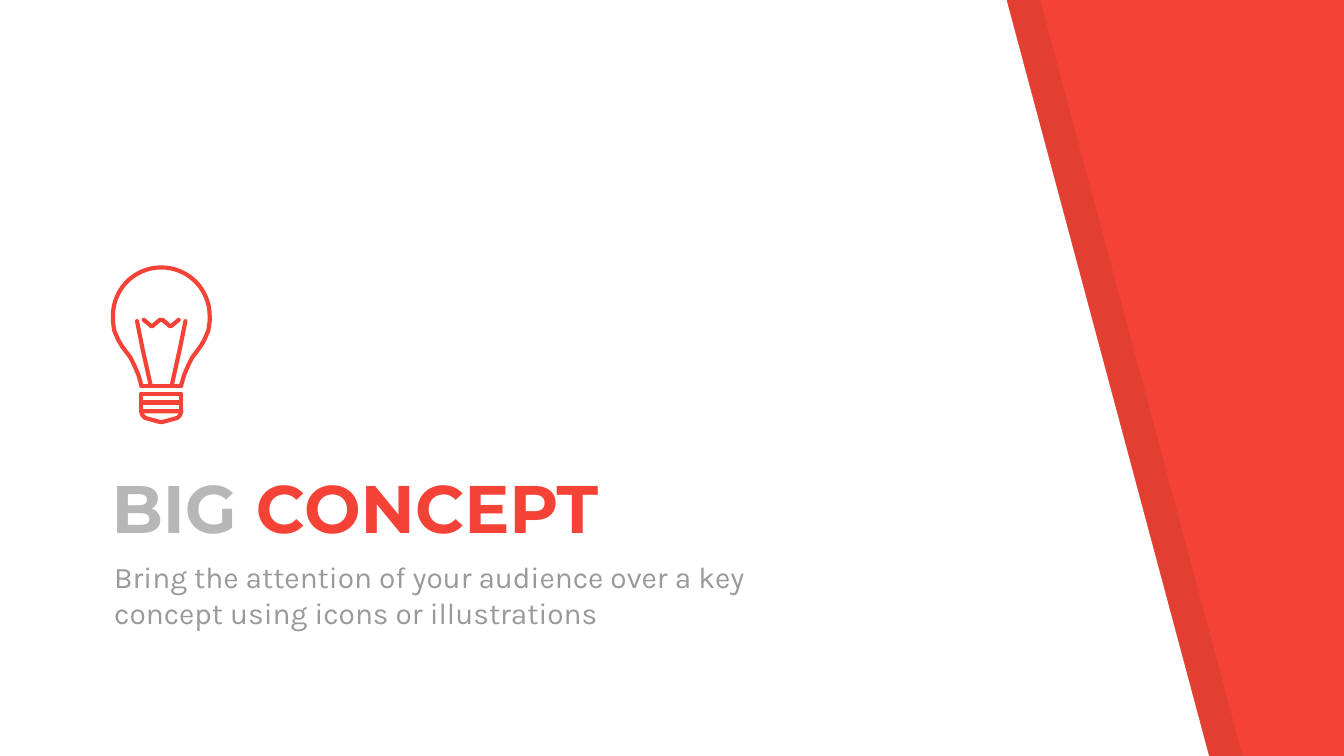
import math

from lxml import etree
from pptx import Presentation
from pptx.dml.color import RGBColor
from pptx.enum.shapes import MSO_CONNECTOR
from pptx.enum.text import MSO_ANCHOR, MSO_AUTO_SIZE, PP_ALIGN
from pptx.oxml.ns import qn
from pptx.util import Inches, Pt

STRAIGHT = MSO_CONNECTOR.STRAIGHT
LEFT = PP_ALIGN.LEFT
TOP, BOTTOM = MSO_ANCHOR.TOP, MSO_ANCHOR.BOTTOM
NO_AUTOFIT = MSO_AUTO_SIZE.NONE

THEME = {
    "red": "F44336", "white": "FFFFFF", "shade": "000000",
    "light": "B7B7B7", "grey": "999999",
    "title_font": "Montserrat", "body_font": "Karla",
    "title_size": 36, "body_size": 16, "stroke": 2.25,
}

# Content: (text, colour) runs
TITLE_RUNS = [("BIG ", "light"), ("CONCEPT", "red")]
SUBTITLE_RUNS = [("Bring the attention of your audience over a key concept "
                  "using icons or illustrations", "grey")]
TITLE_BOX = (0.73, 2.9, 5.74, 1.27)
SUBTITLE_BOX = (0.75, 4.06, 5.74, 0.86)

# Slanted panel, and its shadow band shifted to the right
PANEL = [(0, -0.01), (0, 5.64), (9, 5.64), (7.49, 0)]
BANDS = [(0.25, "shade", 7), (0, "white", 100)]  # shift, colour, opacity %

# Light bulb, symmetrical about a vertical axis
AXIS, HEAD_Y, HEAD_RADIUS = 1.2, 2.35, 0.36
BASE_LEFT, BASE_RIGHT = 1.05, 1.35
NECK = [(1.05, 2.86), (1.03, 2.79), (1, 2.72), (0.97, 2.66), (0.91, 2.58),
        (0.88, 2.53), (0.85, 2.46), (0.84, 2.39)]
SUPPORT = [(1.02, 2.39), (1.06, 2.59), (1.12, 2.86)]
FILAMENT = [(1.07, 2.38), (1.13, 2.43), (1.19, 2.38)]
TIP = [(1.05, 3.06), (1.06, 3.09), (1.08, 3.11), (1.19, 3.14)]
THREAD_TOPS, THREAD_HEIGHT = (2.93, 3), 0.06
COLLAR_Y = 2.87


def color(name):
    return RGBColor.from_string(THEME[name])


def mirror(points):
    return [(2 * AXIS - x, y) for x, y in reversed(points)]


def add_outline(shapes, points, closed):
    corners = [(Inches(x), Inches(y)) for x, y in points]
    builder = shapes.build_freeform(*corners[0], scale=1.0)
    builder.add_line_segments(corners[1:], close=closed)
    shape = builder.convert_to_shape()
    shape.shadow.inherit = False
    return shape


def set_stroke(shape):
    shape.line.color.rgb = color("red")
    shape.line.width = Pt(THEME["stroke"])
    # Round line ends and corners
    line = shape.element.spPr.find(qn("a:ln"))
    line.set("cap", "rnd")
    etree.SubElement(line, qn("a:round"))


def add_stroke(shapes, points, closed=False):
    shape = add_outline(shapes, points, closed)
    shape.fill.background()
    set_stroke(shape)


def fill_placeholder(shape, box, runs, font, size, bold, anchor, space_before):
    shape.left, shape.top, shape.width, shape.height = map(Inches, box)
    frame = shape.text_frame
    frame.auto_size = NO_AUTOFIT
    frame.word_wrap = True
    frame.vertical_anchor = anchor
    frame.margin_left = frame.margin_right = Inches(0.1)
    frame.margin_top = frame.margin_bottom = Inches(0.1)
    paragraph = frame.paragraphs[0]
    paragraph.alignment = LEFT
    paragraph.space_before = Pt(space_before)
    for text, color_name in runs:
        run = paragraph.add_run()
        run.text = text
        run.font.name = THEME[font]
        run.font.size = Pt(THEME[size])
        run.font.bold = bold
        run.font.color.rgb = color(color_name)


def add_bands(slide):
    for shift, color_name, opacity in BANDS:
        points = [(x + shift, y) for x, y in PANEL]
        band = add_outline(slide.shapes, points, closed=True)
        band.fill.solid()
        band.fill.fore_color.rgb = color(color_name)
        band.line.fill.background()
        if opacity < 100:
            tint = band.element.spPr.find(".//" + qn("a:srgbClr"))
            etree.SubElement(tint, qn("a:alpha"), val=str(opacity * 1000))
        # Keep the bands behind the text
        slide.shapes.title.element.addprevious(band.element)


def add_bulb(slide):
    shapes = slide.shapes.add_group_shape().shapes

    # Screw base
    for top in THREAD_TOPS:
        bottom = top + THREAD_HEIGHT
        add_stroke(shapes, [(BASE_LEFT, top), (BASE_RIGHT, top),
                            (BASE_RIGHT, bottom), (BASE_LEFT, bottom)], True)
    add_stroke(shapes, TIP + mirror(TIP), True)

    # Glass: neck, round head, neck
    angles = [math.radians(degree) for degree in range(180, -1, -6)]
    head = [(AXIS + HEAD_RADIUS * math.cos(angle),
             HEAD_Y - HEAD_RADIUS * math.sin(angle)) for angle in angles]
    add_stroke(shapes, NECK + head + mirror(NECK))

    # Filament and its supports
    add_stroke(shapes, SUPPORT)
    add_stroke(shapes, mirror(SUPPORT))
    add_stroke(shapes, FILAMENT + mirror(FILAMENT))

    # Collar
    collar = shapes.add_connector(STRAIGHT, Inches(BASE_LEFT), Inches(COLLAR_Y),
                                  Inches(BASE_RIGHT), Inches(COLLAR_Y))
    set_stroke(collar)
    etree.SubElement(collar.element.spPr, qn("a:effectLst"))


def main():
    presentation = Presentation()
    presentation.slide_width = Inches(10)
    presentation.slide_height = Inches(10 * 9 / 16)  # widescreen
    slide = presentation.slides.add_slide(presentation.slide_layouts[0])
    slide.background.fill.solid()
    slide.background.fill.fore_color.rgb = color("red")

    add_bands(slide)
    fill_placeholder(slide.shapes.title, TITLE_BOX, TITLE_RUNS,
                     "title_font", "title_size", True, BOTTOM, 0)
    fill_placeholder(slide.placeholders[1], SUBTITLE_BOX, SUBTITLE_RUNS,
                     "body_font", "body_size", False, TOP, 6)
    add_bulb(slide)
    presentation.save("out.pptx")


if __name__ == "__main__":
    main()
